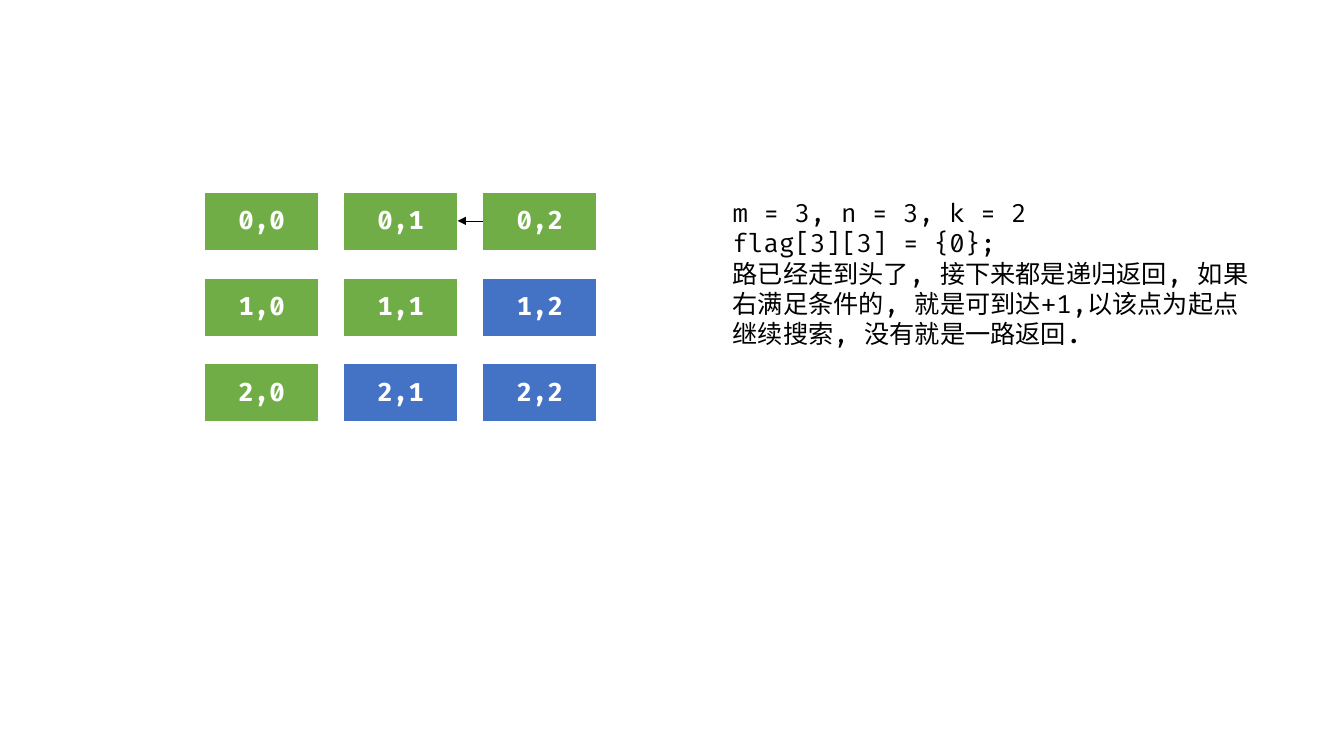
from lxml.etree import SubElement
from pptx import Presentation
from pptx.dml.color import RGBColor
from pptx.enum.shapes import MSO_CONNECTOR as Connector
from pptx.enum.text import MSO_ANCHOR as Anchor, MSO_AUTO_SIZE as AutoSize, PP_ALIGN as Align
from pptx.oxml.ns import qn
from pptx.util import Pt

WHITE = RGBColor(0xFF, 0xFF, 0xFF)
BLACK = RGBColor(0, 0, 0)
REACHED = RGBColor(0x70, 0xAD, 0x47)
BLOCKED = RGBColor(0x44, 0x72, 0xC4)

GRID_SIZE, STEP_LIMIT = 3, 2
LEFT, TOP = 146.16, 137.5
CELL_W, CELL_H = 81.36, 42.48
STEP_X, STEP_Y = 99.36, 61.2
NOTES = (
    "m = 3, n = 3, k = 2",
    "flag[3][3] = {0};",
    "路已经走到头了, 接下来都是递归返回, 如果右满足条件的, 就是可到达+1,以该点为起点继续搜索, 没有就是一路返回.",
)


class Board:
    """Draws the elements of one slide in a shared style."""

    font_name = "Fira Code"
    font_size = 18
    borders = {"a:lnL": 1, "a:lnR": 1, "a:lnT": 1, "a:lnB": 3}

    def __init__(self, slide):
        self.shapes = slide.shapes

    def add_text(self, paragraph, text, color, bold=False):
        run = paragraph.add_run()
        run.text = text
        font = run.font
        font.name, font.size, font.bold = self.font_name, Pt(self.font_size), bold
        font.color.rgb = color
        SubElement(run._r.get_or_add_rPr(), qn("a:ea"), typeface=self.font_name)

    def square(self, label, x, y, color):
        table = self.shapes.add_table(1, 1, Pt(x), Pt(y), Pt(CELL_W), Pt(CELL_H)).table
        square = table.cell(0, 0)
        square.vertical_anchor = Anchor.MIDDLE
        properties = square._tc.get_or_add_tcPr()
        for side, width in self.borders.items():
            border = SubElement(properties, qn(side), w=str(Pt(width)))
            SubElement(SubElement(border, qn("a:solidFill")), qn("a:srgbClr"), val=str(WHITE))
        square.fill.solid()
        square.fill.fore_color.rgb = color
        paragraph = square.text_frame.paragraphs[0]
        paragraph.alignment = Align.CENTER
        self.add_text(paragraph, label, WHITE, bold=True)

    def notes(self, lines, x, y, width, height):
        frame = self.shapes.add_textbox(Pt(x), Pt(y), Pt(width), Pt(height)).text_frame
        frame.word_wrap = True
        frame.auto_size = AutoSize.SHAPE_TO_FIT_TEXT
        for index, line in enumerate(lines):
            paragraph = frame.add_paragraph() if index else frame.paragraphs[0]
            self.add_text(paragraph, line, BLACK)

    def arrow(self, start_x, end_x, y):
        arrow = self.shapes.add_connector(Connector.STRAIGHT, Pt(start_x), Pt(y), Pt(end_x), Pt(y))
        arrow.line.color.rgb = BLACK
        arrow.line.width = Pt(0.5)
        properties = arrow._element.spPr
        SubElement(properties.find(qn("a:ln")), qn("a:tailEnd"), type="triangle")
        SubElement(properties, qn("a:effectLst"))


def main():
    deck = Presentation()
    deck.slide_width, deck.slide_height = Pt(960), Pt(540)
    board = Board(deck.slides.add_slide(deck.slide_layouts[6]))
    for row in range(GRID_SIZE):
        for column in range(GRID_SIZE):
            color = REACHED if row + column <= STEP_LIMIT else BLOCKED
            board.square(f"{row},{column}", LEFT + column * STEP_X, TOP + row * STEP_Y, color)
    board.notes(NOTES, 516.24, TOP, 393.12, 116.64)
    board.arrow(LEFT + 2 * STEP_X, LEFT + STEP_X + CELL_W, 157.8)
    deck.save("out.pptx")


if __name__ == "__main__":
    main()
